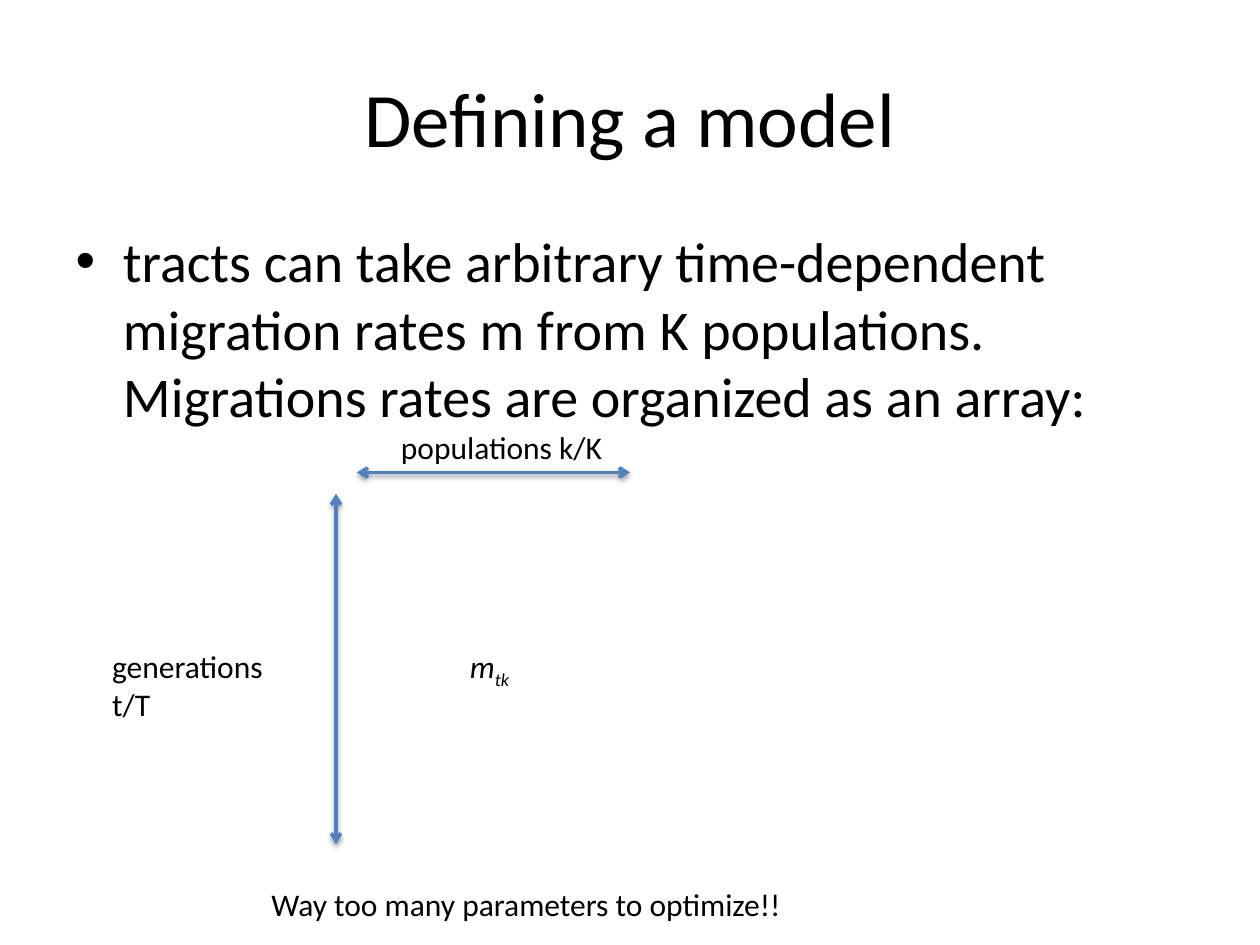
"""Build the slide "Defining a model" with its migration array diagram."""
from lxml import etree
from pptx import Presentation
from pptx.dml.color import RGBColor
from pptx.enum.shapes import MSO_CONNECTOR as Connector
from pptx.enum.text import MSO_ANCHOR as Anchor, MSO_AUTO_SIZE as AutoSize, PP_ALIGN as Align
from pptx.oxml import parse_xml
from pptx.oxml.ns import nsdecls, qn
from pptx.util import Pt


def color(value):
    return RGBColor.from_string(value)


def write(shape, text, box, size=18, align=Align.LEFT, anchor=Anchor.TOP, wrap=True, italic=None, subscript=""):
    shape.left, shape.top, shape.width, shape.height = map(Pt, box)
    frame = shape.text_frame
    frame.text = text
    frame.word_wrap = wrap
    frame.vertical_anchor = anchor
    if subscript:
        run = frame.paragraphs[0].add_run()
        run.text = subscript
        run.font._element.set("baseline", "-25000")
    for paragraph in frame.paragraphs:
        paragraph.alignment = align
        paragraph.space_before = Pt(0)
        for run in paragraph.runs:
            run.font.name = "Calibri"
            run.font.size = Pt(size)
            run.font.italic = italic
            run.font.color.rgb = color("000000")


presentation = Presentation()
presentation.slide_width, presentation.slide_height = Pt(720), Pt(540)
slide = presentation.slides.add_slide(presentation.slide_layouts[1])
title, body = slide.placeholders

write(title, "Defining a model", (36, 21.6, 648, 90), size=44, align=Align.CENTER, anchor=Anchor.MIDDLE)
write(
    body,
    "tracts can take arbitrary time-dependent migration rates m from K populations. "
    "Migrations rates are organized as an array:",
    (36, 126, 648, 356.4),
    size=32,
)

population_axis = (204, 270, 360, 270)
generation_axis = (192, 482.4, 192, 282.2)
for axis in (population_axis, generation_axis):
    arrow = slide.shapes.add_connector(Connector.STRAIGHT, *map(Pt, axis))
    arrow.line.color.rgb = color("4F81BD")
    arrow.line.width = Pt(2)
    line = arrow.line._get_or_add_ln()
    for end in ("a:headEnd", "a:tailEnd"):
        etree.SubElement(line, qn(end), type="arrow")
    arrow._element.spPr.append(parse_xml(
        f'<a:effectLst {nsdecls("a")}><a:outerShdw blurRad="{Pt(3.1)}" dist="{Pt(1.6)}" dir="5400000" '
        'rotWithShape="0"><a:srgbClr val="000000"><a:alpha val="38000"/></a:srgbClr></a:outerShdw></a:effectLst>'
    ))

labels = [
    ("generations\nt/T", (57, 366, 101.5, 51), {"wrap": False}),
    ("populations k/K", (222, 241, 131, 29), {"wrap": False}),
    ("m", (261.5, 366, 50.4, 29), {"italic": True, "subscript": "tk"}),
    ("Way too many parameters to optimize!!", (148, 502, 309, 29), {"wrap": False}),
]
for text, box, style in labels:
    label = slide.shapes.add_textbox(*map(Pt, box))
    write(label, text, box, **style)
    label.text_frame.auto_size = AutoSize.SHAPE_TO_FIT_TEXT

presentation.save("out.pptx")
